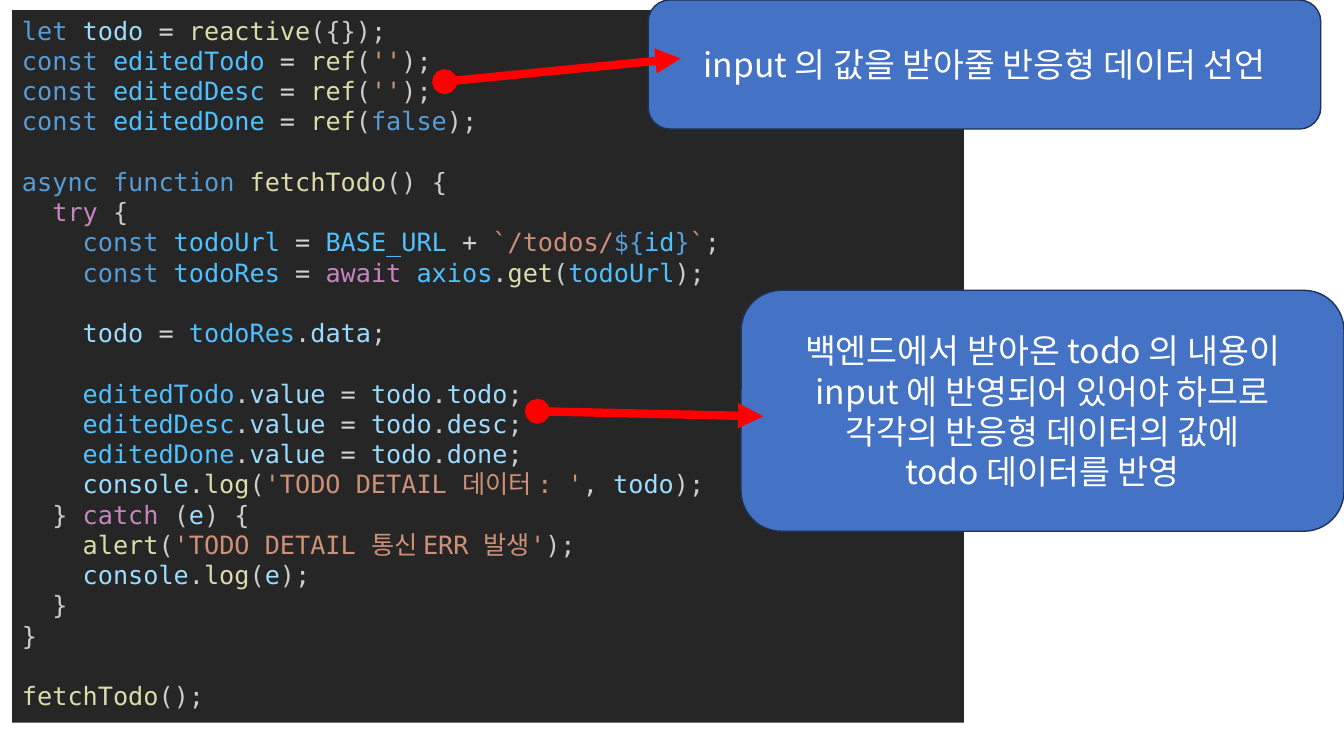
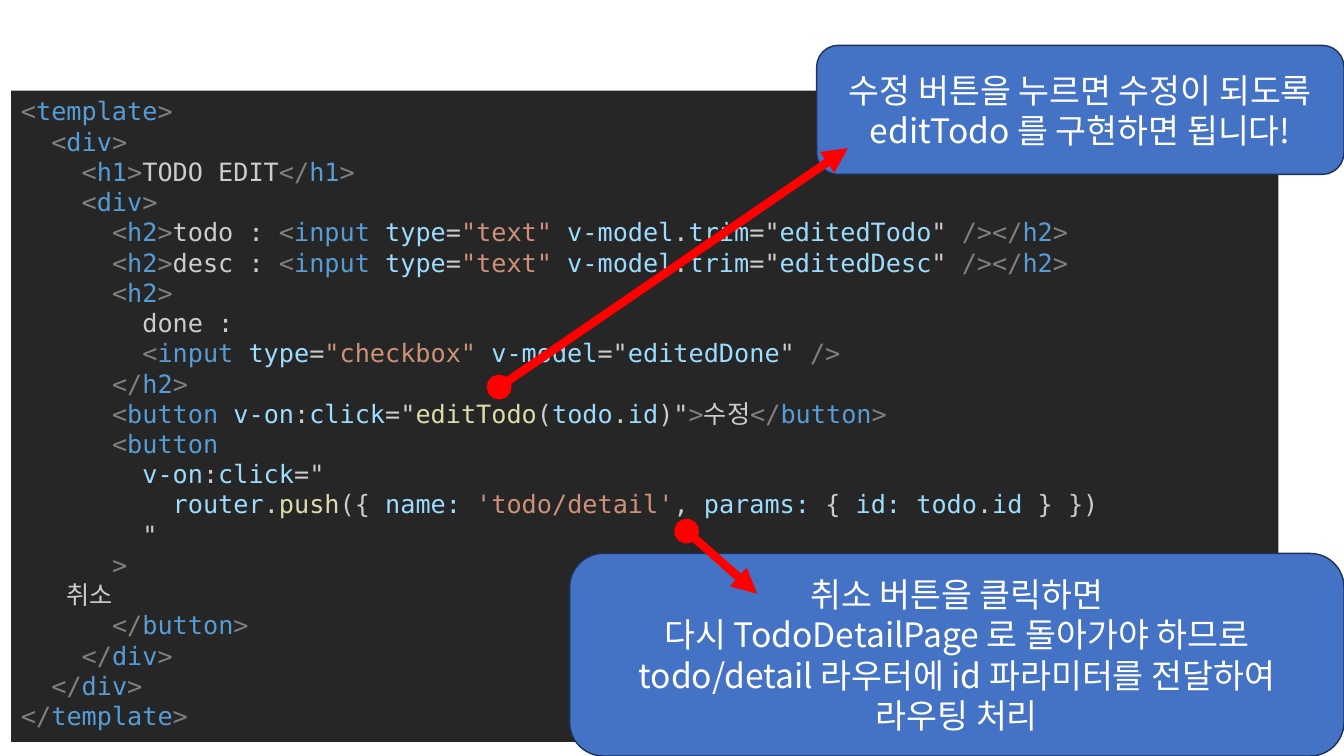
from lxml.etree import SubElement
from pptx import Presentation
from pptx.dml.color import RGBColor
from pptx.enum.shapes import MSO_CONNECTOR, MSO_SHAPE
from pptx.enum.text import MSO_ANCHOR, PP_ALIGN
from pptx.oxml.ns import qn
from pptx.util import Inches, Pt

COLORS = {
    "panel": "262626", "callout": "4472C4", "border": "1E3256",
    "arrow": "FF0000", "white": "FFFFFF",
    # syntax colours
    "kw": "569CD6", "var": "9CDCFE", "const": "4FC1FF", "op": "D4D4D4",
    "fn": "DCDCAA", "txt": "CCCCCC", "str": "CE9178", "ctl": "C586C0",
    "tag": "808080",
}
CODE_FONT, KOREAN_FONT = "DejaVu Sans Mono", "Noto Sans CJK KR"
CODE_SIZE, CALLOUT_SIZE = 18, 24
LINE_RATIO = 1.2

# Code lines hold "colour:text" pieces parted by "|".
FETCH_CODE = [
    "kw:let |var:todo |op:= |fn:reactive|txt:({});",
    "kw:const |const:editedTodo |op:= |fn:ref|txt:(|str:''|txt:);",
    "kw:const |const:editedDesc |op:= |fn:ref|txt:(|str:''|txt:);",
    "kw:const |const:editedDone |op:= |fn:ref|txt:(|kw:false|txt:);",
    "",
    "kw:async function |fn:fetchTodo|txt:() {",
    "txt:  |ctl:try|txt: {",
    "txt:    |kw:const |const:todoUrl |op:= |const:BASE_URL |op:+ "
    "|str:`/todos/|kw:${|const:id|kw:}|str:`|txt:;",
    "txt:    |kw:const |const:todoRes |op:= |ctl:await |const:axios|txt:."
    "|fn:get|txt:(|const:todoUrl|txt:);",
    "",
    "txt:    |var:todo |op:= |const:todoRes|txt:.|var:data|txt:;",
    "",
    "txt:    |const:editedTodo|txt:.|var:value |op:= |var:todo|txt:.|var:todo|txt:;",
    "txt:    |const:editedDesc|txt:.|var:value |op:= |var:todo|txt:.|var:desc|txt:;",
    "txt:    |const:editedDone|txt:.|var:value |op:= |var:todo|txt:.|var:done|txt:;",
    "txt:    |var:console|txt:.|fn:log|txt:(|str:'TODO DETAIL 데이터 : '"
    "|txt:, |var:todo|txt:);",
    "txt:  } |ctl:catch|txt: (|var:e|txt:) {",
    "txt:    |fn:alert|txt:(|str:'TODO DETAIL 통신 ERR 발생'|txt:);",
    "txt:    |var:console|txt:.|fn:log|txt:(|var:e|txt:);",
    "txt:  }",
    "txt:}",
    "",
    "fn:fetchTodo|txt:();",
]

TEMPLATE_CODE = [
    'tag:<|kw:template|tag:>',
    'txt:  |tag:<|kw:div|tag:>',
    'txt:    |tag:<|kw:h1|tag:>|txt:TODO EDIT|tag:</|kw:h1|tag:>',
    'txt:    |tag:<|kw:div|tag:>',
    'txt:      |tag:<|kw:h2|tag:>|txt:todo : |tag:<|kw:input |var:type|txt:='
    '|str:"text" |var:v-model|txt:.|var:trim|txt:="|var:editedTodo|txt:" '
    '|tag:/></|kw:h2|tag:>',
    'txt:      |tag:<|kw:h2|tag:>|txt:desc : |tag:<|kw:input |var:type|txt:='
    '|str:"text" |var:v-model|txt:.|var:trim|txt:="|var:editedDesc|txt:" '
    '|tag:/></|kw:h2|tag:>',
    'txt:      |tag:<|kw:h2|tag:>',
    'txt:        done :',
    'txt:        |tag:<|kw:input |var:type|txt:=|str:"checkbox" '
    '|var:v-model|txt:="|var:editedDone|txt:" |tag:/>',
    'txt:      |tag:</|kw:h2|tag:>',
    'txt:      |tag:<|kw:button |var:v-on|txt::|var:click|txt:="|fn:editTodo'
    '|txt:(|var:todo|txt:.|var:id|txt:)"|tag:>|txt:수정|tag:</|kw:button|tag:>',
    'txt:      |tag:<|kw:button',
    'txt:        |var:v-on|txt::|var:click|txt:="',
    "txt:          |var:router|txt:.|fn:push|txt:({ |var:name: |str:'todo/detail'"
    "|txt:, |var:params:|txt: { |var:id: todo|txt:.|var:id|txt: } })",
    'txt:        "',
    'txt:      |tag:>',
    'txt:        취소',
    'txt:      |tag:</|kw:button|tag:>',
    'txt:    |tag:</|kw:div|tag:>',
    'txt:  |tag:</|kw:div|tag:>',
    'tag:</|kw:template|tag:>',
]

# Boxes are left, top, width, height; arrows are start x, y and end x, y.
SLIDES = [
    {"code": FETCH_CODE, "panel": (0.12, 0.1, 9.44, 7.07), "callouts": [
        {"box": (6.43, 0, 6.67, 1.28), "arrow": (4.41, 0.81, 6.75, 0.58),
         "lines": ["input 의 값을 받아줄 반응형 데이터 선언"]},
        {"box": (7.35, 2.88, 5.98, 2.39), "arrow": (5.33, 4.08, 7.57, 4.13),
         "lines": ["백엔드에서 받아온 todo 의 내용이",
                   "input 에 반영되어 있어야 하므로",
                   "각각의 반응형 데이터의 값에",
                   "todo 데이터를 반영"]},
    ]},
    {"code": TEMPLATE_CODE, "panel": (0.11, 0.9, 12.57, 6.46), "callouts": [
        {"box": (8.1, 0.45, 5.23, 1.28), "arrow": (4.95, 3.84, 8.41, 1.47),
         "lines": ["수정 버튼을 누르면 수정이 되도록",
                   "editTodo 를 구현하면 됩니다!"]},
        {"box": (5.65, 5.49, 7.68, 2.01), "arrow": (6.81, 5.27, 7.51, 5.89),
         "lines": ["취소 버튼을 클릭하면",
                   "다시 TodoDetailPage 로 돌아가야 하므로",
                   "todo/detail 라우터에 id 파라미터를 전달하여",
                   "라우팅 처리"]},
    ]},
]


def color(name):
    return RGBColor.from_string(COLORS[name])


def inches(values):
    return [Inches(value) for value in values]


def style_paragraph(paragraph, font_name, size, color_name):
    paragraph.line_spacing = Pt(size * LINE_RATIO)
    font = paragraph.font
    font.size = Pt(size)
    font.color.rgb = color(color_name)
    font.name = font_name
    east_asian = SubElement(paragraph._p.pPr.find(qn("a:defRPr")), qn("a:ea"))
    east_asian.set("typeface", KOREAN_FONT)


def next_paragraph(frame, index):
    return frame.add_paragraph() if index else frame.paragraphs[0]


def add_code_panel(slide, code, box):
    """Draw the dark panel; a blank code line becomes space before the next."""
    panel = slide.shapes.add_textbox(*inches(box))
    panel.fill.solid()
    panel.fill.fore_color.rgb = color("panel")
    frame = panel.text_frame
    frame.word_wrap = True
    after_blank = False
    for index, line in enumerate(code):
        if not line:
            after_blank = True
            continue
        paragraph = next_paragraph(frame, index)
        if after_blank:
            paragraph.space_before = Pt(CODE_SIZE * LINE_RATIO)
            after_blank = False
        style_paragraph(paragraph, CODE_FONT, CODE_SIZE, "txt")
        for piece in line.split("|"):
            syntax, _, text = piece.partition(":")
            run = paragraph.add_run()
            run.text = text
            run.font.color.rgb = color(syntax)


def add_callout(slide, lines, box):
    callout = slide.shapes.add_shape(MSO_SHAPE.ROUNDED_RECTANGLE, *inches(box))
    callout.shadow.inherit = False
    callout.fill.solid()
    callout.fill.fore_color.rgb = color("callout")
    callout.line.color.rgb = color("border")
    callout.line.width = Pt(1)
    frame = callout.text_frame
    frame.word_wrap = True
    frame.vertical_anchor = MSO_ANCHOR.MIDDLE
    for index, line in enumerate(lines):
        paragraph = next_paragraph(frame, index)
        paragraph.text = line
        paragraph.alignment = PP_ALIGN.CENTER
        style_paragraph(paragraph, KOREAN_FONT, CALLOUT_SIZE, "white")


def add_arrow(slide, ends):
    arrow = slide.shapes.add_connector(MSO_CONNECTOR.STRAIGHT, *inches(ends))
    arrow.line.color.rgb = color("arrow")
    arrow.line.width = Pt(6)
    outline = arrow.line._get_or_add_ln()
    SubElement(outline, qn("a:headEnd")).set("type", "oval")
    SubElement(outline, qn("a:tailEnd")).set("type", "triangle")
    SubElement(arrow._element.spPr, qn("a:effectLst"))


def main():
    presentation = Presentation()
    presentation.slide_width = Inches(13.33)
    presentation.slide_height = Inches(7.5)
    blank_layout = presentation.slide_layouts[6]
    for content in SLIDES:
        slide = presentation.slides.add_slide(blank_layout)
        add_code_panel(slide, content["code"], content["panel"])
        for callout in content["callouts"]:
            add_callout(slide, callout["lines"], callout["box"])
            add_arrow(slide, callout["arrow"])
    presentation.save("out.pptx")


if __name__ == "__main__":
    main()
